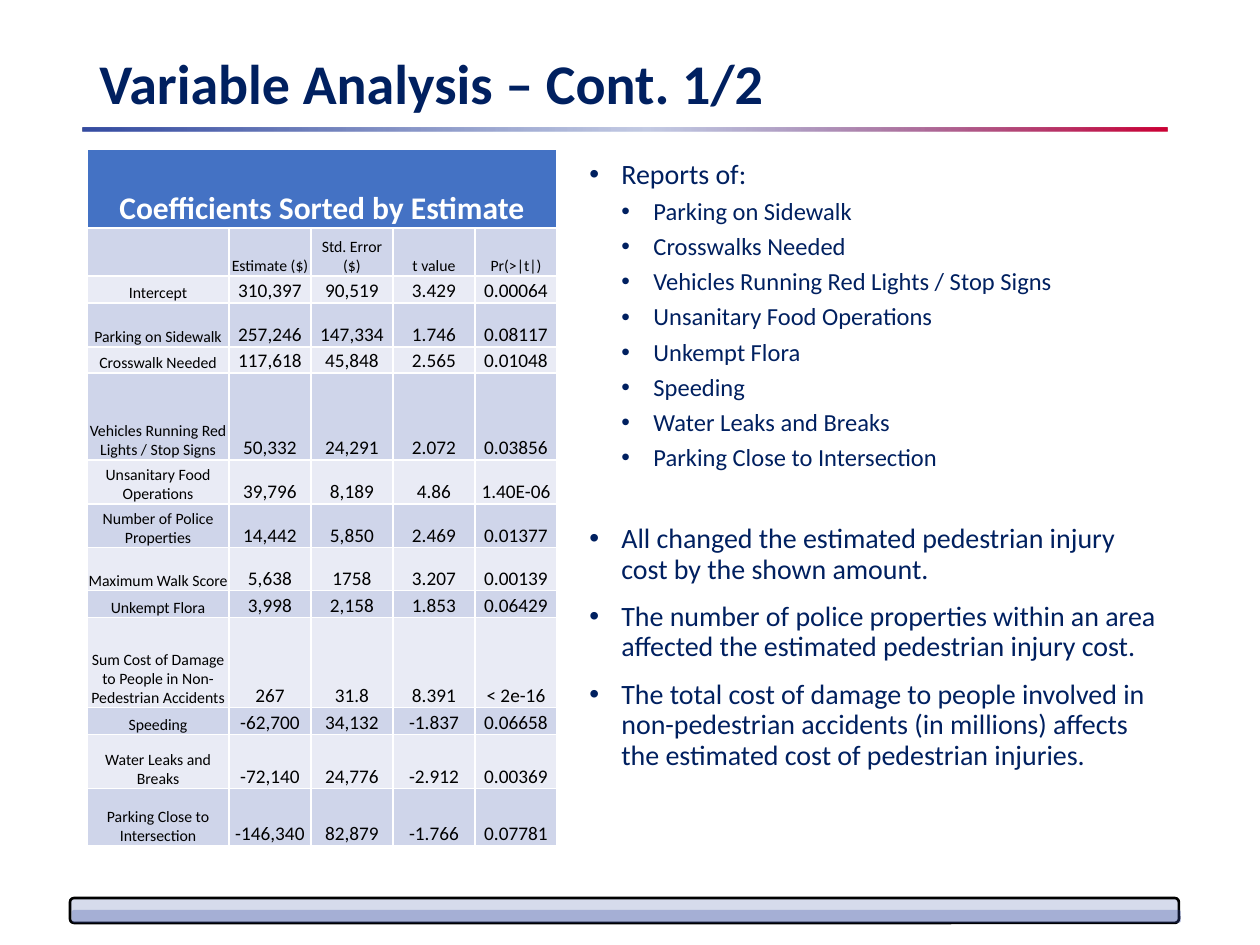
"""Build the variable analysis slide with its coefficient table and findings."""
from lxml import etree
from pptx import Presentation
from pptx import util as u
from pptx.dml.color import RGBColor
from pptx.enum import shapes, text
from pptx.oxml import parse_xml
from pptx.oxml.ns import nsdecls, qn

SCALE = 914400 / 126
FONT = "Calibri"
NAVY = RGBColor(0x00, 0x20, 0x60)
INDIGO = RGBColor(0x35, 0x4C, 0xA1)
CRIMSON = RGBColor(0xCC, 0x00, 0x35)
HEADER = RGBColor(0x44, 0x72, 0xC4)
BAND_DARK = RGBColor(0xCF, 0xD5, 0xEA)
BAND_LIGHT = RGBColor(0xE9, 0xEB, 0xF5)
WHITE = RGBColor(0xFF, 0xFF, 0xFF)
BLACK = RGBColor(0x00, 0x00, 0x00)

COLUMN_WIDTHS = [142, 82, 82, 82, 82]
ROW_HEIGHTS = [79, 48, 27, 44, 26, 87, 44, 44, 43, 27, 90, 27, 54, 57]
ROWS = [
    ["Coefficients Sorted by Estimate"],
    ["", "Estimate ($)", "Std. Error ($)", "t value", "Pr(>|t|)"],
    ["Intercept", "310,397", "90,519", "3.429", "0.00064"],
    ["Parking on Sidewalk", "257,246", "147,334", "1.746", "0.08117"],
    ["Crosswalk Needed", "117,618", "45,848", "2.565", "0.01048"],
    ["Vehicles Running Red Lights / Stop Signs", "50,332", "24,291", "2.072", "0.03856"],
    ["Unsanitary Food Operations", "39,796", "8,189", "4.86", "1.40E-06"],
    ["Number of Police Properties", "14,442", "5,850", "2.469", "0.01377"],
    ["Maximum Walk Score", "5,638", "1758", "3.207", "0.00139"],
    ["Unkempt Flora", "3,998", "2,158", "1.853", "0.06429"],
    ["Sum Cost of Damage to People in Non-Pedestrian Accidents", "267", "31.8", "8.391", "< 2e-16"],
    ["Speeding", "-62,700", "34,132", "-1.837", "0.06658"],
    ["Water Leaks and Breaks", "-72,140", "24,776", "-2.912", "0.00369"],
    ["Parking Close to Intersection", "-146,340", "82,879", "-1.766", "0.07781"],
]
FINDINGS = [
    (0, 0, "Reports of:"),
    (1, 5, "Parking on Sidewalk"),
    (1, 5, "Crosswalks Needed"),
    (1, 5, "Vehicles Running Red Lights / Stop Signs"),
    (1, 5, "Unsanitary Food Operations"),
    (1, 5, "Unkempt Flora"),
    (1, 5, "Speeding"),
    (1, 5, "Water Leaks and Breaks"),
    (1, 5, "Parking Close to Intersection"),
    (0, 30, "All changed the estimated pedestrian injury cost by the shown amount."),
    (0, 10, "The number of police properties within an area affected the estimated "
            "pedestrian injury cost."),
    (0, 10, "The total cost of damage to people involved in non-pedestrian accidents "
            "(in millions) affects the estimated cost of pedestrian injuries."),
]


def px(*lengths):
    return [u.Emu(round(length * SCALE)) for length in lengths]


def style(font, size, color, bold=False):
    font.name, font.size, font.bold = FONT, u.Pt(size), bold
    font.color.rgb = color


deck = Presentation()
deck.slide_width, deck.slide_height = px(1260, 945)
page = deck.slides.add_slide(deck.slide_layouts[6])

for place, opacity, outlined in [
    ((70, 898, 1109, 25), 20, True),
    ((72, 910, 1109, 13), 30, False),
]:
    bar = page.shapes.add_shape(shapes.MSO_SHAPE.ROUNDED_RECTANGLE, *px(*place))
    bar.shadow.inherit = False
    bar.fill.solid()
    bar.fill.fore_color.rgb = INDIGO
    tint = bar._element.spPr.find(".//" + qn("a:srgbClr"))
    etree.SubElement(tint, qn("a:alpha"), val=str(opacity * 1000))
    if outlined:
        bar.line.color.rgb = BLACK
        bar.line.width = u.Pt(1.5)
    else:
        bar.line.fill.background()

rule = page.shapes.add_shape(shapes.MSO_SHAPE.ROUNDED_RECTANGLE, *px(83, 128, 1084, 3))
rule.shadow.inherit = False
rule.line.fill.background()
stops = "".join(
    f'<a:gs pos="{place * 1000}"><a:srgbClr val="{color}">'
    f'<a:alpha val="{opacity * 1000}"/></a:srgbClr></a:gs>'
    for place, color, opacity in [(0, INDIGO, 100), (52, INDIGO, 29), (100, CRIMSON, 100)]
)
gradient = parse_xml(
    f'<a:gradFill {nsdecls("a")}><a:gsLst>{stops}</a:gsLst><a:lin ang="0"/></a:gradFill>'
)
rule._element.spPr.find(qn("a:prstGeom")).addnext(gradient)

title = page.shapes.add_textbox(*px(87, 50, 1086, 72)).text_frame
title.word_wrap = True
title.vertical_anchor = text.MSO_ANCHOR.MIDDLE
para = title.paragraphs[0]
para.text = "Variable Analysis – Cont. 1/2"
para.line_spacing = 0.9
style(para.font, 32, NAVY, True)

body = page.shapes.add_textbox(*px(577, 154, 596, 714)).text_frame
body.word_wrap = True
for index, (level, gap, words) in enumerate(FINDINGS):
    para = body.add_paragraph() if index else body.paragraphs[0]
    para.text = words
    para.level = level
    para.line_spacing = 0.9
    para.space_before = u.Pt(gap)
    indent, hanging = px((32, 64)[level], 32)
    props = para._p.get_or_add_pPr()
    props.set("marL", str(indent))
    props.set("indent", str(-hanging))
    etree.SubElement(props, qn("a:buFont"), typeface="Arial")
    etree.SubElement(props, qn("a:buChar"), char="•")
    style(para.font, (16, 14)[level], NAVY)

frame = page.shapes.add_table(
    len(ROWS), len(COLUMN_WIDTHS), *px(87, 149, sum(COLUMN_WIDTHS), sum(ROW_HEIGHTS))
)
table = frame.table
table.first_row = table.horz_banding = False
for column, width in zip(table.columns, px(*COLUMN_WIDTHS)):
    column.width = width
for row, height in zip(table.rows, px(*ROW_HEIGHTS)):
    row.height = height
table.cell(0, 0).merge(table.cell(0, len(COLUMN_WIDTHS) - 1))

for r, row in enumerate(table.rows):
    for c, cell in enumerate(row.cells):
        cell.margin_left = cell.margin_right = cell.margin_top = px(1)[0]
        cell.margin_bottom = 0
        cell.vertical_anchor = text.MSO_ANCHOR.BOTTOM
        for side in "LRTB":
            heavy = (r, side) in [(0, "B"), (1, "T")]
            edge = etree.SubElement(
                cell._tc.get_or_add_tcPr(), qn("a:ln" + side), w=str(u.Pt(1.5 if heavy else 1))
            )
            paint = etree.SubElement(edge, qn("a:solidFill"))
            etree.SubElement(paint, qn("a:srgbClr"), val=str(WHITE))
        cell.fill.solid()
        cell.fill.fore_color.rgb = HEADER if r == 0 else BAND_DARK if r % 2 else BAND_LIGHT
        if c < len(ROWS[r]) and ROWS[r][c]:
            para = cell.text_frame.paragraphs[0]
            para.text = ROWS[r][c]
            para.alignment = text.PP_ALIGN.CENTER
            if r == 0:
                style(para.font, 18, WHITE, True)
            else:
                style(para.font, 9 if r == 1 or c == 0 else 11, BLACK)

deck.save("out.pptx")
